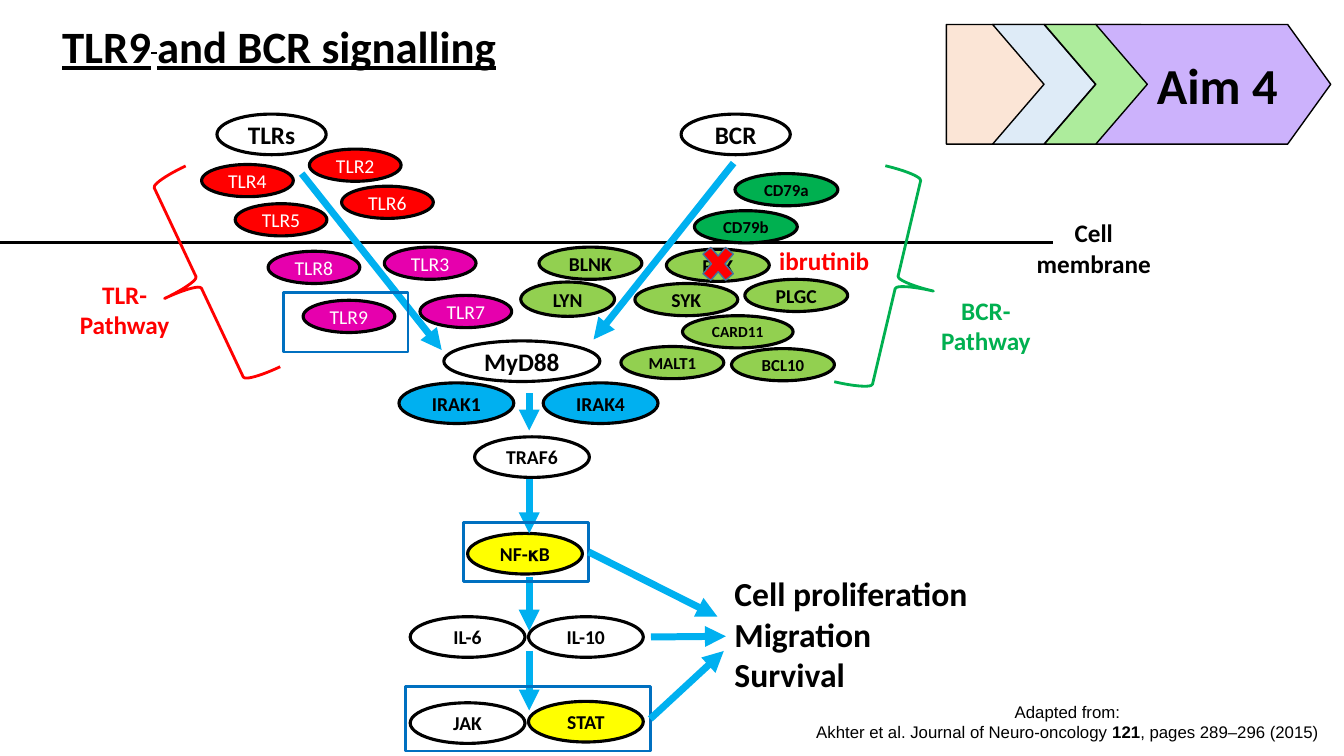
from pptx import Presentation
from pptx import util as u
from pptx.dml.color import RGBColor
from pptx.enum import shapes, text
from pptx.oxml import ns
from lxml import etree

BLACK = RGBColor(0x00, 0x00, 0x00)
WHITE = RGBColor(0xFF, 0xFF, 0xFF)
RED = RGBColor(0xFF, 0x00, 0x00)
MAGENTA = RGBColor(0xE6, 0x00, 0xAD)
GREEN = RGBColor(0x00, 0xB0, 0x50)
LIME = RGBColor(0x92, 0xD0, 0x50)
YELLOW = RGBColor(0xFF, 0xFF, 0x00)
SKY = RGBColor(0x00, 0xB0, 0xF0)
BLUE = RGBColor(0x00, 0x70, 0xC0)
STEEL = RGBColor(0x43, 0x73, 0x9E)
PEACH = RGBColor(0xFB, 0xE5, 0xD6)
ICE = RGBColor(0xDE, 0xEB, 0xF7)
VIOLET = RGBColor(0xCC, 0xB2, 0xFC)
MINT = RGBColor(0xAD, 0xEC, 0x9C)

TITLE_RUNS = ["TLR9", " ", "and BCR signalling"]

# fill, font colour, bold, (width, height), members as (name, left, top, font size)
FAMILIES = [
    (WHITE, BLACK, True, (78, 29), [("TLRs", 155, 81.5, 18), ("BCR", 486.5, 81.5, 18)]),
    (WHITE, BLACK, True, (111.5, 29), [("MyD88", 317, 243.5, 18)]),
    (RED, WHITE, False, (65.5, 23), [
        ("TLR4", 144, 117.5, 14), ("TLR5", 168, 145.5, 14),
        ("TLR2", 221, 106.5, 14), ("TLR6", 244, 133, 14)]),
    (MAGENTA, WHITE, False, (65.5, 23), [
        ("TLR8", 191.5, 179.5, 14), ("TLR9", 216.5, 214.5, 14),
        ("TLR3", 274.5, 176.5, 14), ("TLR7", 300, 211, 14)]),
    (SKY, BLACK, True, (82, 29), [("IRAK1", 285, 273.5, 14), ("IRAK4", 388, 273.5, 14)]),
    (WHITE, BLACK, True, (82, 29), [
        ("TRAF6", 339, 312, 14), ("IL-6", 293, 440.5, 14),
        ("IL-10", 377.5, 440.5, 14), ("JAK", 293, 502, 14)]),
    (YELLOW, BLACK, True, (82, 29), [("NF-𝛋B", 334, 381, 14), ("STAT", 377.5, 501, 14)]),
    (LIME, BLACK, True, (73.5, 23), [
        ("SYK", 453.5, 202.5, 14), ("MALT1", 443.5, 247.5, 12), ("BLNK", 385, 176.5, 14),
        ("BTK", 476, 178, 14), ("PLGC", 532, 199.5, 14), ("BCL10", 522.5, 249, 12)]),
    (LIME, BLACK, True, (67, 24.5), [("LYN", 372, 201.5, 14)]),
    (LIME, BLACK, True, (79, 23), [("CARD11", 487.5, 225.5, 11)]),
    (GREEN, BLACK, True, (73.5, 23), [("CD79a", 525, 124, 12), ("CD79b", 496, 150.5, 12)]),
]

SPINE_X = 378
SPINE_STEPS = [(281, 307.5), (342.5, 381), (412.5, 450.5), (465, 507.5)]
RECEPTOR_ARROWS = [(215.5, 124, 315.5, 250), (524, 116.5, 424, 242.5)]
HIGHLIGHTS = {"TLR9": (202.5, 209, 89, 42.5), "NF-κB": (331, 373, 89.5, 42.5),
              "JAK/STAT": (289.5, 490.5, 175, 46)}
OUTCOME_ARROWS = [("NF-κB", (420, 394, 512.5, 440.5)), (None, (465, 455, 518.5, 454.5)),
                  ("JAK/STAT", (464.5, 513.5, 517, 465))]
BRACES = [(115, 122.5, 334.8, False, RED), (613.5, 122.5, 13.3, True, GREEN)]

CENTER, LEFT = text.PP_ALIGN.CENTER, text.PP_ALIGN.LEFT
LABELS = [
    ("TLR-Pathway", (39, 196, 100, 51), 18, RED, CENTER, True),
    ("BCR-Pathway", (656, 207.5, 96.5, 51), 18, GREEN, CENTER, True),
    ("Cell\nmembrane", (732, 152, 98.5, 51), 18, BLACK, CENTER, True),
    ("Cell proliferation\nMigration\nSurvival", (517.5, 406, 181.5, 94), 24, BLACK, LEFT, False),
    ("ibrutinib", (549.5, 172, 79, 29), 18, RED, LEFT, False),
]
CITATION_RUNS = ["Akhter et al. Journal of Neuro-oncology ", "121", ", pages 289–296 (2015)"]

AIM_TOP, AIM_HEIGHT = 17.5, 85.5
CHEVRON = shapes.MSO_SHAPE.CHEVRON
AIM_ARROWS = [
    (shapes.MSO_SHAPE.PENTAGON, 676, 181.5, 0.5, PEACH, ""),
    (CHEVRON, 709, 73.5, 0.5, ICE, ""),
    (CHEVRON, 782.5, 168, 0.36, VIOLET, "Aim 4"),
    (CHEVRON, 746, 73.5, 0.5, MINT, ""),
]


def points(values):
    return [u.Pt(value) for value in values]


def style_text(frame, size, color, bold, align, name="Calibri"):
    for paragraph in frame.paragraphs:
        paragraph.alignment = align
        for run in paragraph.runs:
            run.font.size = u.Pt(size)
            run.font.name = name
            run.font.bold = bold
            run.font.color.rgb = color


def add_shape(kind, box, fill, line, width):
    shape = slide.shapes.add_shape(kind, *points(box))
    shape.shadow.inherit = False
    if fill is None:
        shape.fill.background()
    else:
        shape.fill.solid()
        shape.fill.fore_color.rgb = fill
    shape.line.color.rgb = line
    shape.line.width = u.Pt(width)
    return shape


def add_line(ends, color, width, arrow=True):
    line = slide.shapes.add_connector(shapes.MSO_CONNECTOR.STRAIGHT, *points(ends))
    line.line.color.rgb = color
    line.line.width = u.Pt(width)
    if arrow:
        outline = line.line._get_or_add_ln()
        etree.SubElement(outline, ns.qn("a:tailEnd"), type="triangle")
    etree.SubElement(line._element.spPr, ns.qn("a:effectLst"))
    return line


def add_label(content, box, wrap):
    frame = slide.shapes.add_textbox(*points(box)).text_frame
    frame.text = content
    frame.word_wrap = wrap
    return frame


def add_runs(paragraph, contents):
    for content in contents:
        paragraph.add_run().text = content
    return paragraph.runs


presentation = Presentation()
presentation.slide_width, presentation.slide_height = points((960, 540))
slide = presentation.slides.add_slide(presentation.slide_layouts[5])

title = slide.shapes.title
title.left, title.top, title.width, title.height = points((-6, 10, 411, 46))
title.text_frame.vertical_anchor = text.MSO_ANCHOR.TOP
title.text_frame.auto_size = text.MSO_AUTO_SIZE.NONE
title_runs = add_runs(title.text_frame.paragraphs[0], TITLE_RUNS)
style_text(title.text_frame, 32, BLACK, True, CENTER)
for run in title_runs:
    run.font.underline = True
title_runs[1].font._element.set("baseline", "30000")

add_line((0, 173.5, 752.5, 173.5), BLACK, 2, arrow=False)

for fill, color, bold, extent, members in FAMILIES:
    for name, left, top, size in members:
        protein = add_shape(shapes.MSO_SHAPE.OVAL, (left, top, *extent), fill, BLACK, 2.25)
        frame = protein.text_frame
        frame.text = name
        frame.word_wrap = False
        frame.vertical_anchor = text.MSO_ANCHOR.MIDDLE
        frame.margin_left = frame.margin_right = frame.margin_top = frame.margin_bottom = 0
        style_text(frame, size, color, bold, CENTER)

for ends in RECEPTOR_ARROWS + [(SPINE_X, start, SPINE_X, end) for start, end in SPINE_STEPS]:
    add_line(ends, SKY, 5)

highlights = {name: add_shape(shapes.MSO_SHAPE.RECTANGLE, box, None, BLUE, 2)
              for name, box in HIGHLIGHTS.items()}
for source, ends in OUTCOME_ARROWS:
    arrow = add_line(ends, SKY, 5)
    if source:
        arrow.begin_connect(highlights[source], 3)

for left, top, rotation, flipped, color in BRACES:
    brace = add_shape(shapes.MSO_SHAPE.LEFT_BRACE, (left, top, 54, 158.5), None, color, 2)
    brace.rotation = rotation
    if flipped:
        brace._element.spPr.find(ns.qn("a:xfrm")).set("flipH", "1")

add_shape(shapes.MSO_SHAPE.MATH_MULTIPLY, (497.5, 170.5, 31, 36), RED, STEEL, 1)

for content, box, size, color, align, wrap in LABELS:
    style_text(add_label(content, box, wrap), size, color, True, align)

citation = add_label("Adapted from:", (574.5, 497.5, 376, 36), False)
citation_runs = add_runs(citation.add_paragraph(), CITATION_RUNS)
style_text(citation, 12, BLACK, False, CENTER, "Arial")
citation_runs[1].font.bold = True

for kind, left, width, point, fill, content in AIM_ARROWS:
    aim = add_shape(kind, (left, AIM_TOP, width, AIM_HEIGHT), fill, BLACK, 1)
    aim.adjustments[0] = point
    if content:
        aim.text_frame.text = content
        aim.text_frame.vertical_anchor = text.MSO_ANCHOR.MIDDLE
        style_text(aim.text_frame, 36, BLACK, True, text.PP_ALIGN.RIGHT)

presentation.save("out.pptx")
